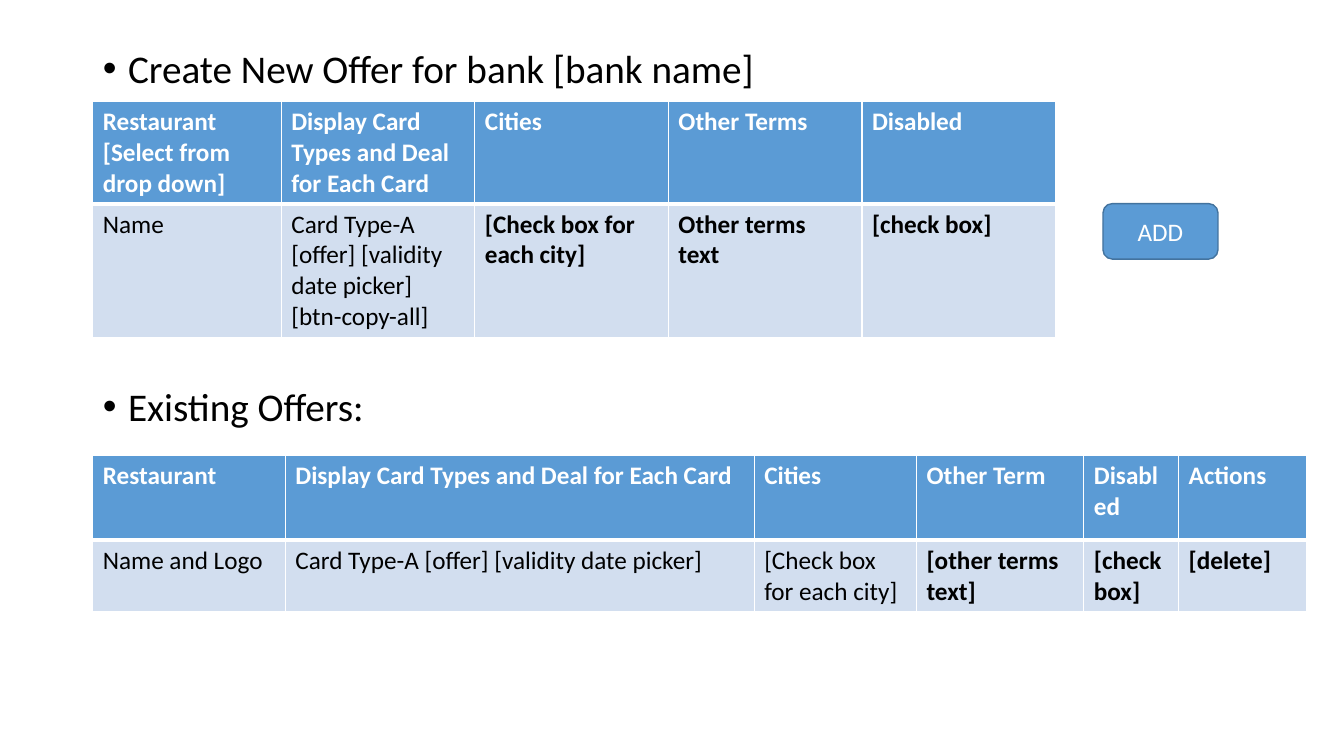
"""Build the bank offer form slide with its two offer tables."""
import pptx
import pptx.util
import pptx.dml.color
import pptx.enum.shapes
import pptx.enum.text
import pptx.oxml
import pptx.oxml.ns

Inches, Pt = pptx.util.Inches, pptx.util.Pt
RGB = pptx.dml.color.RGBColor
BLUE = RGB(0x5B, 0x9B, 0xD5)
PALE = RGB(0xD2, 0xDE, 0xEF)
EDGE = RGB(0x43, 0x73, 0x9E)
WHITE = RGB(255, 255, 255)
BLACK = RGB(0, 0, 0)
FONT = "Calibri"


def style(para, size, color, bold=False):
    font = para.font
    font.name, font.size, font.bold = FONT, Pt(size), bold
    font.color.rgb = color


def edge(cell, side, width):
    line = pptx.oxml.parse_xml(
        f'<a:{side} {pptx.oxml.ns.nsdecls("a")} w="{Pt(width)}"><a:solidFill>'
        f'<a:srgbClr val="{WHITE}"/></a:solidFill></a:{side}>')
    cell._tc.get_or_add_tcPr().append(line)


deck = pptx.Presentation()
deck.slide_width, deck.slide_height = Inches(13.33), Inches(7.5)
slide = deck.slides.add_slide(deck.slide_layouts[1])
title = slide.shapes.title._element
title.getparent().remove(title)

body = slide.placeholders[1]
body.left, body.top = Inches(0.92), Inches(0.44)
body.width, body.height = Inches(11.5), Inches(6.32)
frame = body.text_frame
frame.text = "Create New Offer for bank [bank name]\nExisting Offers:"
frame.auto_size = pptx.enum.text.MSO_AUTO_SIZE.NONE
for para, gap in zip(frame.paragraphs, (10, 211)):
    style(para, 28, BLACK)
    para.line_spacing = 0.9
    para.space_before = Pt(gap)
    props = para._p.get_or_add_pPr()
    props.set("marL", str(Inches(0.25)))
    props.set("indent", str(Inches(-0.25)))

tables = [
    (1.01, [1.87] + [1.92] * 4, [1.01, 1.31], [
        ["Restaurant\n[Select from drop down]",
         "Display Card Types and Deal for Each Card",
         "Cities", "Other Terms", "Disabled"],
        ["Name", "Card Type-A [offer] [validity date picker] [btn-copy-all]",
         "[Check box for each city]", "Other terms text", "[check box]"],
    ], 2),
    (4.52, [1.91, 4.65, 1.61, 1.66, 0.94, 1.27], [0.84, 0.7], [
        ["Restaurant", "Display Card Types and Deal for Each Card",
         "Cities", "Other Term", "Disabled", "Actions"],
        ["Name and Logo", "Card Type-A [offer] [validity date picker]",
         "[Check box for each city]", "[other terms text]",
         "[check box]", "[delete]"],
    ], 3),
]
for top, widths, heights, rows, strong in tables:
    table = slide.shapes.add_table(
        len(rows), len(widths), Inches(0.92), Inches(top),
        Inches(sum(widths)), Inches(sum(heights))).table
    for col, width in zip(table.columns, widths):
        col.width = Inches(width)
    for r, texts in enumerate(rows):
        table.rows[r].height = Inches(heights[r])
        head = r == 0
        for c, text in enumerate(texts):
            cell = table.cell(r, c)
            cell.text = text
            for side in ("lnL", "lnR", "lnT", "lnB"):
                thick = side == ("lnB" if head else "lnT")
                edge(cell, side, 3 if thick else 1)
            cell.fill.solid()
            cell.fill.fore_color.rgb = BLUE if head else PALE
            for para in cell.text_frame.paragraphs:
                style(para, 18, WHITE if head else BLACK, head or c >= strong)

button = slide.shapes.add_shape(
    pptx.enum.shapes.MSO_SHAPE.ROUNDED_RECTANGLE,
    Inches(10.94), Inches(2.02), Inches(1.14), Inches(0.55))
button.shadow.inherit = False
button.fill.solid()
button.fill.fore_color.rgb = BLUE
button.line.color.rgb = EDGE
button.line.width = Pt(1)
button.text_frame.text = "ADD"
button.text_frame.vertical_anchor = pptx.enum.text.MSO_ANCHOR.MIDDLE
label = button.text_frame.paragraphs[0]
label.alignment = pptx.enum.text.PP_ALIGN.CENTER
style(label, 18, WHITE)

deck.save("out.pptx")
